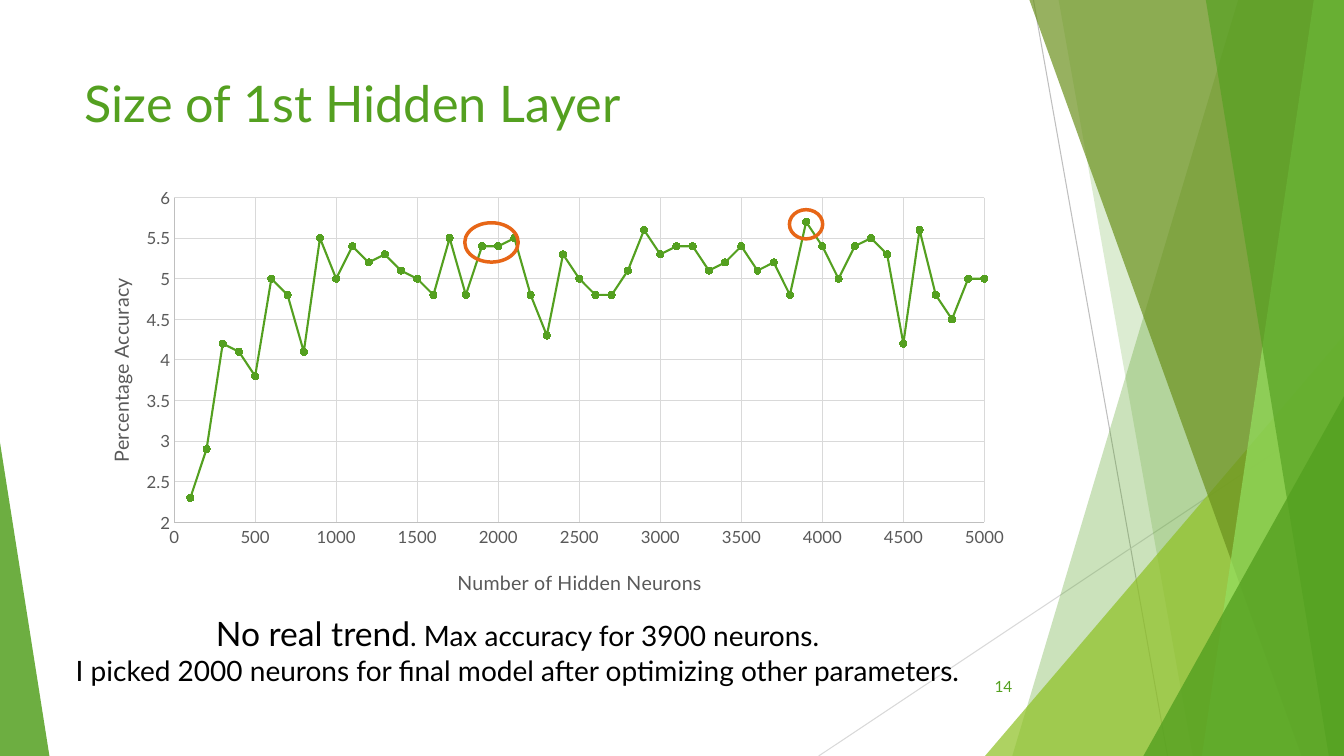
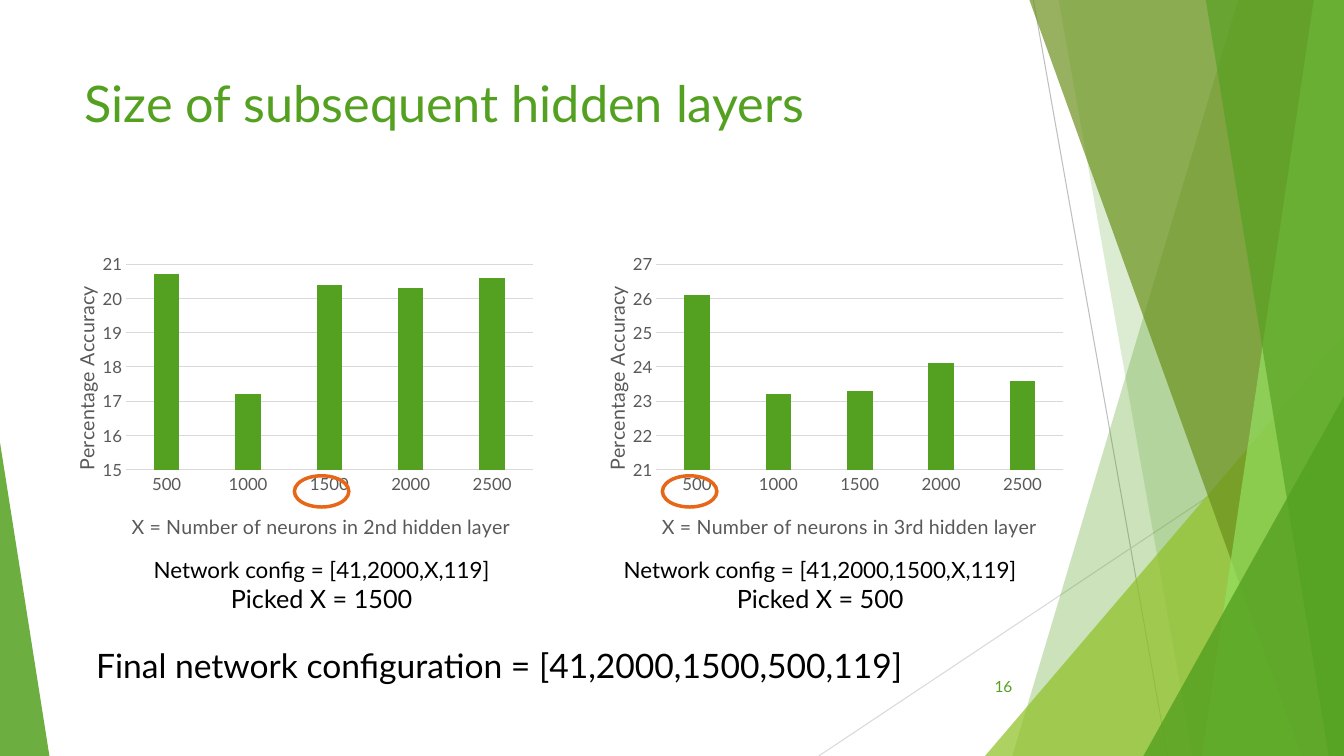
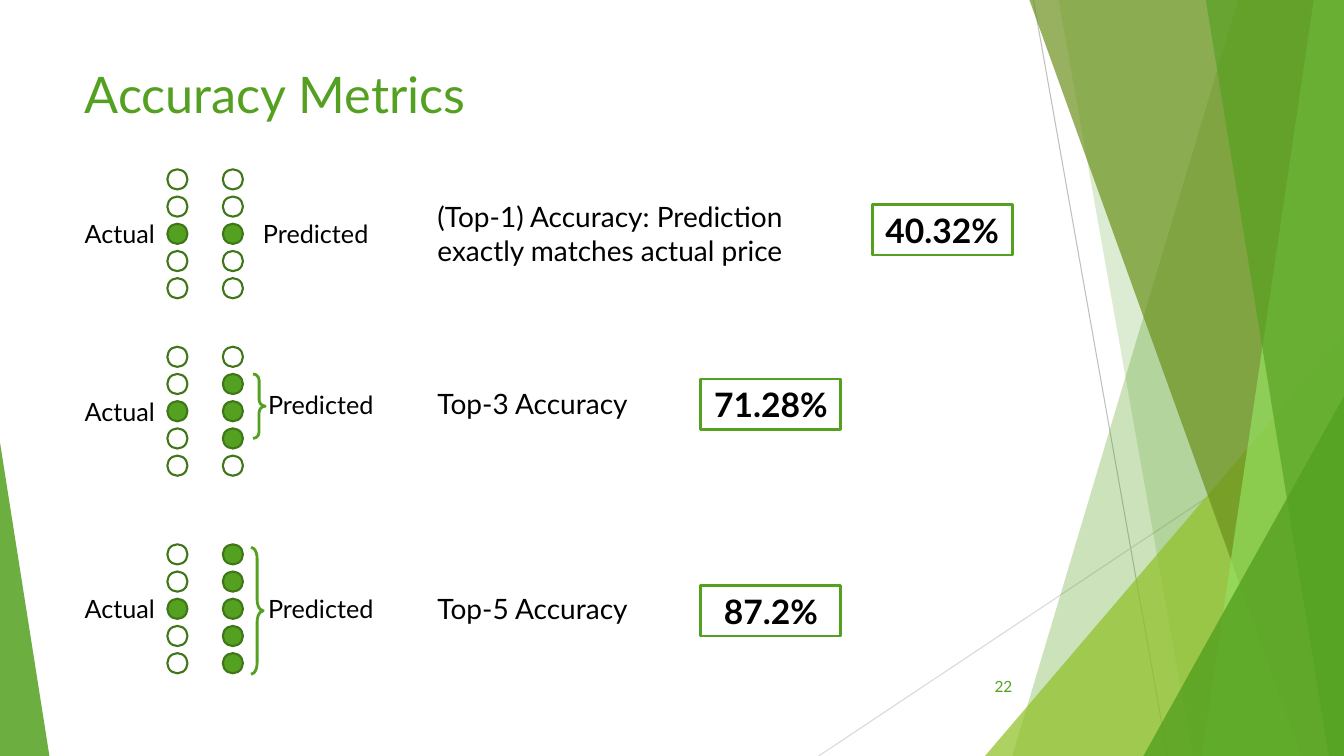
"""Build three slides on network size and accuracy metrics."""
from lxml.etree import SubElement
from pptx import Presentation
from pptx.chart.data import CategoryChartData, XyChartData
from pptx.dml.color import RGBColor as RGB
from pptx.enum.chart import XL_CHART_TYPE as CT, XL_MARKER_STYLE as MARKER, XL_TICK_MARK as TICK
from pptx.enum.shapes import MSO_CONNECTOR, MSO_SHAPE as SHAPE
from pptx.enum.text import MSO_ANCHOR as ANCHOR, PP_ALIGN as ALIGN
from pptx.oxml.ns import qn
from pptx.util import Inches, Pt

FONT = "Lato"
GREEN = RGB(0x54, 0xA0, 0x20)
DARK_GREEN = RGB(0x3E, 0x76, 0x18)
LIME = RGB(0x8F, 0xC1, 0x26)
OLIVE = RGB(0x6B, 0x91, 0x1D)
LIGHT_GREEN = RGB(0x94, 0xDF, 0x60)
ORANGE = RGB(0xE7, 0x66, 0x17)
BLACK = RGB(0, 0, 0)
TEXT_GREY = RGB(0x59, 0x59, 0x59)
LINE_GREY = RGB(0xBF, 0xBF, 0xBF)
GRID_GREY = RGB(0xD9, 0xD9, 0xD9)
WIDTH, HEIGHT = 13.33, 7.5

RAYS = [((10.25, 0, 11.58, HEIGHT), LINE_GREY), ((WIDTH, 4.03, 8.12, HEIGHT), GRID_GREY)]
PANELS = [
    ({"top_x": 12.28, "bottom_x": 10.04}, GREEN, 30),
    ({"top_x": 10.5, "bottom_x": 11.83}, GREEN, 20),
    ({"box": (9.77, 3.33, 3.56, 4.17), "apex": 1}, LIME, 72),
    ({"top_x": 10.21, "bottom_x": 12.91}, OLIVE, 70),
    ({"top_x": 13.03, "bottom_x": 11.92}, LIGHT_GREEN, 70),
    ({"top_x": 11.96, "bottom_x": 13.18}, GREEN, 65),
    ({"box": (11.34, 3.93, 1.99, 3.57), "apex": 1}, GREEN, 80),
    ({"box": (0, 4.39, 0.49, 3.11), "apex": 0}, GREEN, 85),
]

FIRST_LAYER = [
    2.3, 2.9, 4.2, 4.1, 3.8, 5, 4.8, 4.1, 5.5, 5,
    5.4, 5.2, 5.3, 5.1, 5, 4.8, 5.5, 4.8, 5.4, 5.4,
    5.5, 4.8, 4.3, 5.3, 5, 4.8, 4.8, 5.1, 5.6, 5.3,
    5.4, 5.4, 5.1, 5.2, 5.4, 5.1, 5.2, 4.8, 5.7, 5.4,
    5, 5.4, 5.5, 5.3, 4.2, 5.6, 4.8, 4.5, 5, 5,
]
FIRST_NOTE = [
    [("No real trend", 24), (". Max accuracy for 3900 neurons.", 20)],
    [("I picked 2000 neurons for final model after optimizing other parameters.", 20)],
]
FIRST_RINGS = [(4.61, 2.21, 0.53, 0.39), (7.83, 2.08, 0.33, 0.29)]
FIRST_PLACES = {
    "plot": (0.105, 0.04, 0.855, 0.76), "x_title": (0.4, 0.9), "y_title": (0.03, 0.22),
}

LAYER_SIZES = ["500", "1000", "1500", "2000", "2500"]
LAYERS = [
    {"left": 0.38, "nth": "2nd", "values": [20.7, 17.2, 20.4, 20.3, 20.6], "low": 15,
     "ring": 2.92, "note": (1.4, 3.58), "config": "[41,2000,X,119]", "picked": 1500},
    {"left": 5.64, "nth": "3rd", "values": [26.1, 23.2, 23.3, 24.1, 23.6], "low": 21,
     "ring": 6.57, "note": (6.07, 4.13), "config": "[41,2000,1500,X,119]", "picked": 500},
]
LAYER_PLACES = {
    "plot": (0.174, 0.05, 0.807, 0.68), "x_title": (0.178, 0.86), "y_title": (0.06, 0.11),
}
FINAL_NOTE = "Final network configuration = [41,2000,1500,500,119]"

METRICS = [
    {"top": 1.68, "hits": {2}, "predicted": (2.51, 2.12), "brace": None,
     "text": "(Top-1) Accuracy: Prediction exactly matches actual price",
     "text_y": 1.93, "score": "40.32%", "score_at": (8.65, 2.03)},
    {"top": 3.44, "hits": {1, 2, 3}, "predicted": (2.56, 3.81), "brace": (2.51, 3.71, 0.64, 0.53),
     "text": "Top-3 Accuracy",
     "text_y": 3.79, "score": "71.28%", "score_at": (6.95, 3.76)},
    {"top": 5.4, "hits": set(range(5)), "predicted": (2.56, 5.84), "brace": (2.49, 5.43, 1.26, 0.95),
     "text": "Top-5 Accuracy",
     "text_y": 5.82, "score": "87.2%", "score_at": (6.95, 5.81)},
]
DOT, DOT_PITCH, ACTUAL_X, PREDICTED_X = 0.2, 0.27, 1.66, 2.21


def inches(*values):
    return [Inches(v) for v in values]


def assign(obj, **values):
    for name, value in values.items():
        setattr(obj, name, value)


def style_font(font, size, color=BLACK, bold=False):
    assign(font, name=FONT, size=Pt(size), bold=bold)
    font.color.rgb = color


def style_line(line, color, width=0.75):
    line.color.rgb = color
    line.width = Pt(width)


def fill_text(tf, paras, align=ALIGN.LEFT, color=BLACK, bold=False):
    for i, runs in enumerate(paras):
        p = tf.add_paragraph() if i else tf.paragraphs[0]
        p.alignment = align
        for text, size in runs:
            r = p.add_run()
            r.text = text
            style_font(r.font, size, color, bold)


def add_text(s, box, paras, align=ALIGN.LEFT, color=BLACK, wrap=True, anchor=ANCHOR.TOP):
    tf = s.shapes.add_textbox(*inches(*box)).text_frame
    assign(tf, word_wrap=wrap, vertical_anchor=anchor)
    fill_text(tf, paras, align, color)


def add_outline(s, kind, box, color, width, fill=None):
    sp = s.shapes.add_shape(kind, *inches(*box))
    sp.shadow.inherit = False
    style_line(sp.line, color, width)
    if fill is None:
        sp.fill.background()
    else:
        sp.fill.solid()
        sp.fill.fore_color.rgb = fill
    return sp


def add_panel(s, geometry, color, alpha):
    if "box" in geometry:
        sp = s.shapes.add_shape(SHAPE.ISOSCELES_TRIANGLE, *inches(*geometry["box"]))
        sp.adjustments[0] = geometry["apex"]
    else:
        top, bottom = geometry["top_x"], geometry["bottom_x"]
        builder = s.shapes.build_freeform(*inches(top, 0))
        corners = [(WIDTH, 0), (WIDTH, HEIGHT), (bottom, HEIGHT)]
        builder.add_line_segments([inches(*c) for c in corners], close=True)
        sp = builder.convert_to_shape()
    sp.shadow.inherit = False
    sp.line.fill.background()
    sp.fill.solid()
    sp.fill.fore_color.rgb = color
    solid = sp._element.spPr.find(qn("a:solidFill"))
    SubElement(solid[0], qn("a:alpha"), val=str(alpha * 1000))


def decorate_layout(layout, s):
    tree = layout.element.cSld.spTree
    for ph in list(layout.placeholders)[1:]:
        tree.remove(ph._element)
    for ends, color in RAYS:
        ray = s.shapes.add_connector(MSO_CONNECTOR.STRAIGHT, *inches(*ends))
        style_line(ray.line, color)
        SubElement(ray._element.spPr, qn("a:effectLst"))
    for panel in PANELS:
        add_panel(s, *panel)
    for sp in list(s.shapes):
        if not sp.is_placeholder:
            tree.append(sp._element)


def add_frame(s, title, number, top=0.67, width=9.4):
    sp = s.shapes.title
    box = inches(0.74, top, width, 1.44)
    assign(sp, **dict(zip(("left", "top", "width", "height"), box)))
    assign(sp.text_frame, word_wrap=True, vertical_anchor=ANCHOR.TOP)
    fill_text(sp.text_frame, [[(title, 36)]], color=GREEN)
    add_text(s, (9.39, 6.61, 0.75, 0.4), [[(str(number), 11)]], ALIGN.RIGHT, GREEN,
             anchor=ANCHOR.MIDDLE)


def set_layout(parent, index, place, inner=False):
    old = parent.find(qn("c:layout"))
    if old is not None:
        parent.remove(old)
    layout = parent.makeelement(qn("c:layout"))
    parent.insert(index, layout)
    manual = SubElement(layout, qn("c:manualLayout"))
    if inner:
        SubElement(manual, qn("c:layoutTarget"), val="inner")
    for name in ("xMode", "yMode"):
        SubElement(manual, qn(f"c:{name}"), val="edge")
    for name, value in zip("xywh", place):
        SubElement(manual, qn(f"c:{name}"), val=str(value))


def style_axis(axis, title, place, line, grid, scale=None, rotation=0):
    assign(axis, major_tick_mark=TICK.NONE, minor_tick_mark=TICK.NONE, has_major_gridlines=grid)
    if scale:
        names = ("minimum_scale", "maximum_scale", "major_unit")
        assign(axis, **dict(zip(names, scale)))
    style_font(axis.tick_labels.font, 12, TEXT_GREY)
    if line is None:
        axis.format.line.fill.background()
    else:
        style_line(axis.format.line, line)
    if grid:
        style_line(axis.major_gridlines.format.line, GRID_GREY)
    tf = axis.axis_title.text_frame
    fill_text(tf, [[(title, 14)]], ALIGN.CENTER, TEXT_GREY)
    tf._txBody.bodyPr.set("rot", str(rotation))
    set_layout(axis.axis_title._element, 1, place)


def add_chart(s, kind, box, data, places, x_axis, y_axis):
    chart = s.shapes.add_chart(kind, *inches(*box), data).chart
    assign(chart, has_title=False, has_legend=False)
    style_font(chart.font, 10)
    style_axis(chart.category_axis, place=places["x_title"], **x_axis)
    style_axis(chart.value_axis, "Percentage Accuracy", places["y_title"], grid=True,
               rotation=-5400000, **y_axis)
    set_layout(chart._chartSpace.chart.plotArea, 0, places["plot"], inner=True)
    chart.plots[0].vary_by_categories = False
    return chart


def add_ring(s, box):
    add_outline(s, SHAPE.OVAL, box, ORANGE, 2.5)


def first_layer_slide(s):
    add_frame(s, "Size of 1st Hidden Layer", 14)
    add_text(s, (0.3, 6.03, 9.67, 0.84), FIRST_NOTE, ALIGN.CENTER)
    data = XyChartData()
    points = data.add_series("Series 1")
    for i, value in enumerate(FIRST_LAYER, 1):
        points.add_data_point(i * 100, value)
    x_axis = {"title": "Number of Hidden Neurons", "line": LINE_GREY, "grid": True,
              "scale": (0, 5000, 500)}
    chart = add_chart(s, CT.XY_SCATTER_LINES, (0.74, 1.79, 9.4, 4.24), data, FIRST_PLACES,
                      x_axis, {"line": LINE_GREY, "scale": (2, 6, 0.5)})
    series = chart.plots[0].series[0]
    series.smooth = False
    style_line(series.format.line, GREEN, 1.5)
    assign(series.marker, style=MARKER.CIRCLE, size=5)
    series.marker.format.fill.solid()
    series.marker.format.fill.fore_color.rgb = GREEN
    style_line(series.marker.format.line, GREEN)
    for ring in FIRST_RINGS:
        add_ring(s, ring)


def next_layers_slide(s):
    add_frame(s, "Size of subsequent hidden layers", 16)
    for layer in LAYERS:
        data = CategoryChartData()
        data.categories = LAYER_SIZES
        data.add_series("Series 1", layer["values"])
        x_axis = {"title": f"X = Number of neurons in {layer['nth']} hidden layer",
                  "line": GRID_GREY, "grid": False}
        low = layer["low"]
        chart = add_chart(s, CT.COLUMN_CLUSTERED, (layer["left"], 2.47, 5, 3), data,
                          LAYER_PLACES, x_axis, {"line": None, "scale": (low, low + 6, 1)})
        plot = chart.plots[0]
        assign(plot, gap_width=219, overlap=-27)
        fill = plot.series[0].format.fill
        fill.solid()
        fill.fore_color.rgb = GREEN
        add_ring(s, (layer["ring"], 4.72, 0.54, 0.31))
        left, width = layer["note"]
        note = [[(f"Network config = {layer['config']}", 16)],
                [(f"Picked X = {layer['picked']}", 18)]]
        add_text(s, (left, 5.47, width, 0.67), note, ALIGN.CENTER, wrap=False)
    add_text(s, (0.78, 6.35, 8.34, 0.5), [[(FINAL_NOTE, 24)]], ALIGN.CENTER, wrap=False)


def metrics_slide(s):
    add_frame(s, "Accuracy Metrics", 22, top=0.58, width=5.08)
    for metric in METRICS:
        top = metric["top"]
        for x, hits in ((ACTUAL_X, {2}), (PREDICTED_X, metric["hits"])):
            for i in range(5):
                add_outline(s, SHAPE.OVAL, (x, top + i * DOT_PITCH, DOT, DOT), DARK_GREEN, 1.5,
                            GREEN if i in hits else None)
        add_text(s, (0.74, top + 0.44, 0.92, 0.4), [[("Actual", 18)]], wrap=False)
        add_text(s, (*metric["predicted"], 1.28, 0.4), [[("Predicted", 18)]], wrap=False)
        if metric["brace"]:
            x, y, height, curve = metric["brace"]
            brace = add_outline(s, SHAPE.RIGHT_BRACE, (x, y, 0.12, height), GREEN, 2)
            brace.adjustments[0] = curve
        add_text(s, (4.24, metric["text_y"], 3.87, 0.44), [[(metric["text"], 20)]])
        score = add_outline(s, SHAPE.RECTANGLE, (*metric["score_at"], 1.39, 0.5), GREEN, 2)
        assign(score.text_frame, word_wrap=True, vertical_anchor=ANCHOR.MIDDLE)
        fill_text(score.text_frame, [[(metric["score"], 24)]], ALIGN.CENTER, bold=True)


def main():
    prs = Presentation()
    assign(prs, slide_width=Inches(WIDTH), slide_height=Inches(HEIGHT))
    layout = prs.slide_layouts[5]
    for i, build in enumerate((first_layer_slide, next_layers_slide, metrics_slide)):
        s = prs.slides.add_slide(layout)
        if i == 0:
            decorate_layout(layout, s)
        build(s)
    prs.save("out.pptx")


if __name__ == "__main__":
    main()
